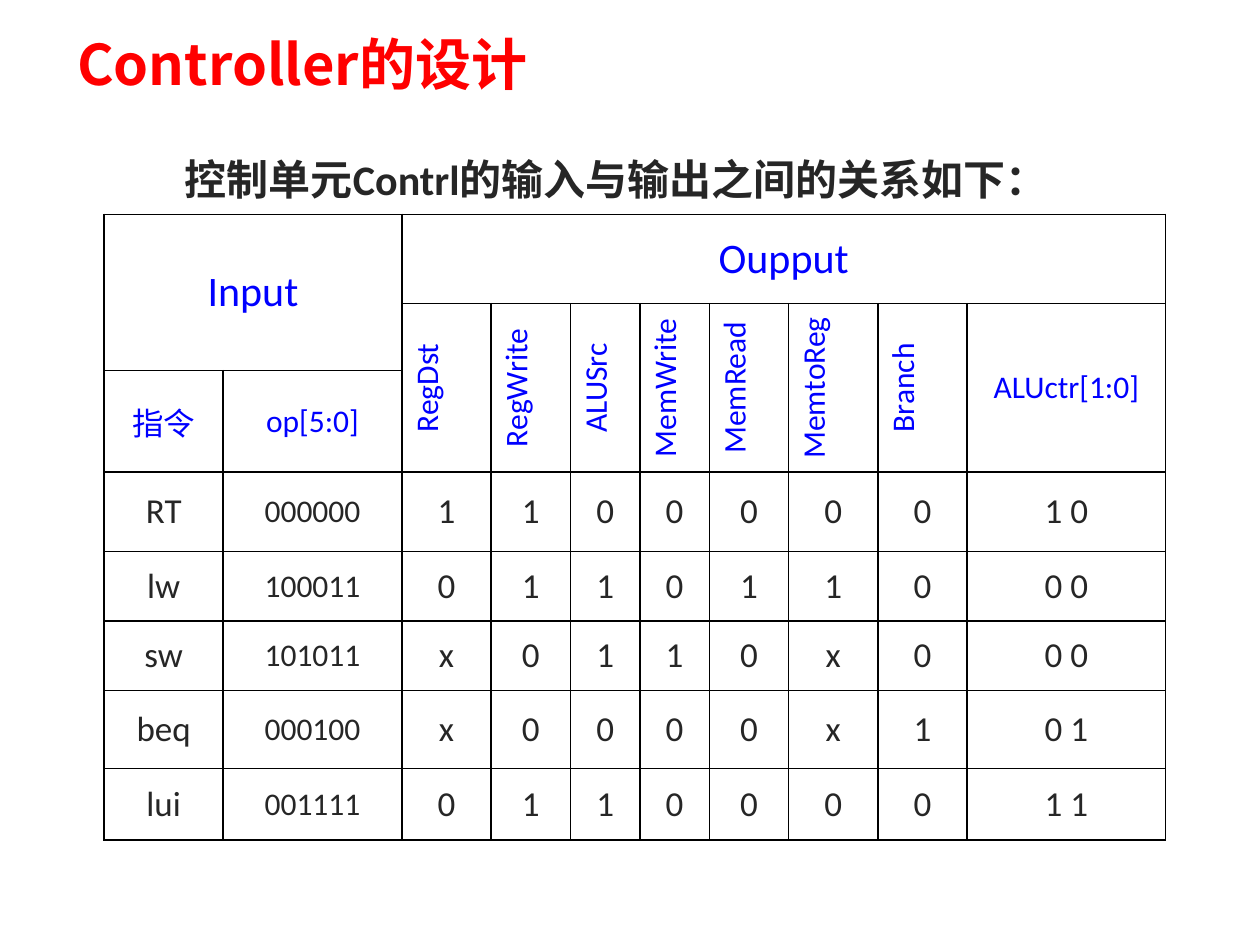
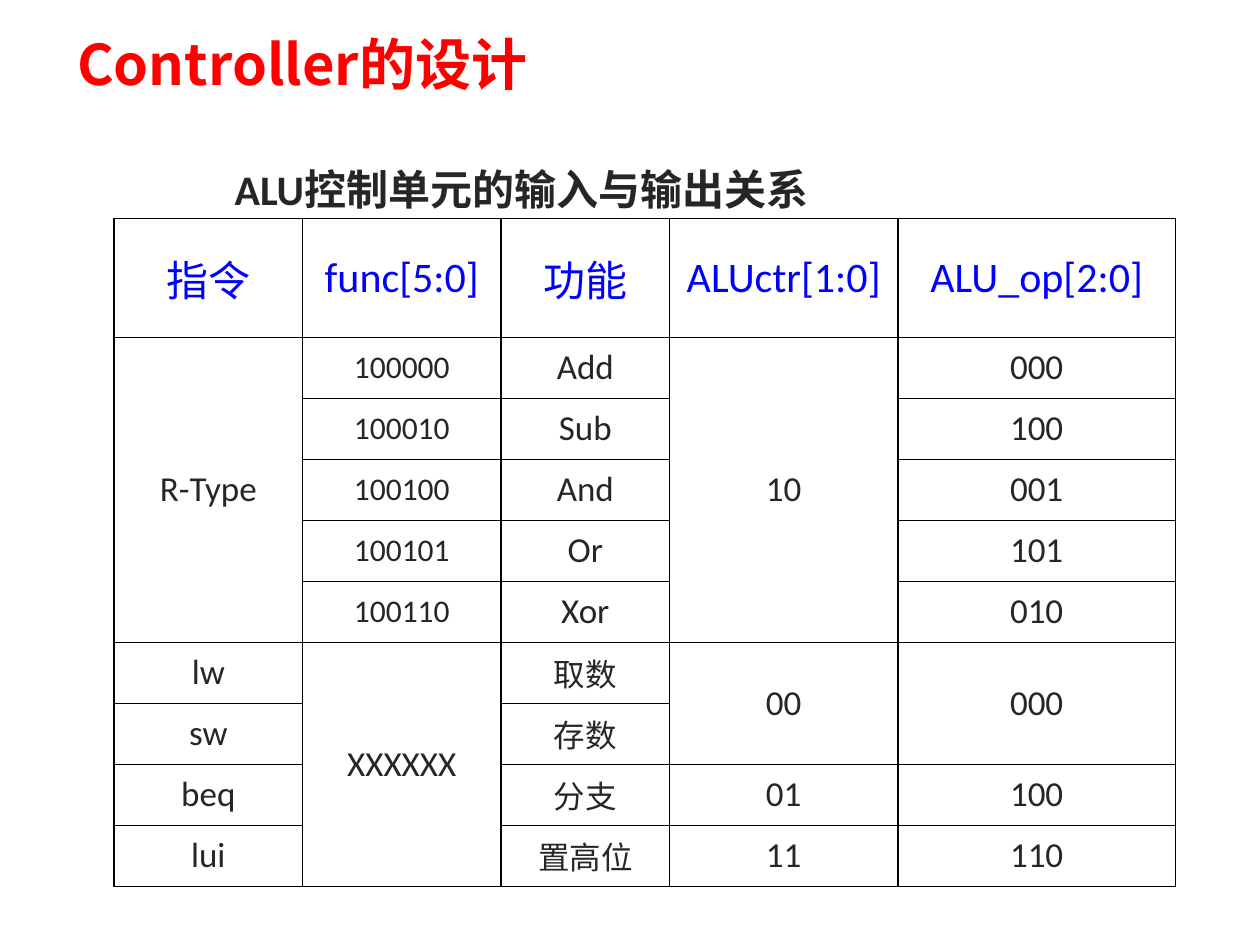
from lxml import etree
from pptx import Presentation
from pptx.dml.color import RGBColor
from pptx.enum.text import MSO_ANCHOR as Anchor, MSO_AUTO_SIZE as AutoSize, PP_ALIGN as Align
from pptx.oxml import parse_xml
from pptx.oxml.ns import nsdecls, qn
from pptx.util import Cm, Pt

RED, BLUE, DARK, BLACK = "FF0000", "0000FF", "262626", "000000"
LATIN, CJK = "Calibri", "Noto Sans CJK JP"


def color(hex_string):
    return RGBColor.from_string(hex_string)


def add_run(paragraph, text, size, hex_string, bold=False, font=LATIN):
    run = paragraph.add_run()
    run.text = text
    run.font.size = Pt(size)
    run.font.bold = bold
    run.font.color.rgb = color(hex_string)
    run.font.name = font
    # Chinese characters take their own font
    east_asian = etree.SubElement(run.font._element, qn("a:ea"))
    east_asian.set("typeface", CJK)


# Content: None marks a cell covered by a merge; a span is row, column, rows, columns
control_table = {
    "caption": "控制单元Contrl的输入与输出之间的关系如下：",
    "caption_box": (2.7, 2.72, 19.8, 1.47),
    "origin": (2.1, 4.32),
    "columns": [2.4, 3.6, 1.8, 1.6, 1.4, 1.4, 1.6, 1.8, 1.8, 4],
    "rows": [1.8, 1.35, 2.05, 1.6, 1.4, 1.4, 1.57, 1.45],
    "header_sizes": [24, 18, 18],
    "spans": [(0, 0, 2, 2), (0, 2, 1, 8)] + [(1, column, 2, 1) for column in range(2, 10)],
    "vertical": [(1, column) for column in range(2, 9)],
    "cells": [
        ["Input", None, "Oupput"] + [None] * 7,
        [None, None, "RegDst", "RegWrite", "ALUSrc", "MemWrite", "MemRead",
         "MemtoReg", "Branch", "ALUctr[1:0]"],
        ["指令", "op[5:0]"] + [None] * 8,
        ["RT", "000000", *"1100000", "1 0"],
        ["lw", "100011", *"0110110", "0 0"],
        ["sw", "101011", *"x0110x0", "0 0"],
        ["beq", "000100", *"x0000x1", "0 1"],
        ["lui", "001111", *"0110000", "1 1"],
    ],
}
alu_table = {
    "caption": "ALU控制单元的输入与输出关系",
    "caption_box": (3.7, 2.92, 17, 1.47),
    "origin": (2.3, 4.4),
    "columns": [3.8, 4, 3.4, 4.6, 5.6],
    "rows": [2.4] + [1.23] * 9,
    "header_sizes": [24],
    "spans": [(1, 0, 5, 1), (1, 3, 5, 1), (6, 1, 4, 1), (6, 3, 2, 1), (6, 4, 2, 1)],
    "vertical": [],
    "cells": [
        ["指令", "func[5:0]", "功能", "ALUctr[1:0]", "ALU_op[2:0]"],
        ["R-Type", "100000", "Add", "10", "000"],
        [None, "100010", "Sub", None, "100"],
        [None, "100100", "And", None, "001"],
        [None, "100101", "Or", None, "101"],
        [None, "100110", "Xor", None, "010"],
        ["lw", "XXXXXX", "取数", "00", "000"],
        ["sw", None, "存数", None, None],
        ["beq", None, "分支", "01", "100"],
        ["lui", None, "置高位", "11", "110"],
    ],
}

presentation = Presentation()
presentation.slide_width = Cm(25.4)
presentation.slide_height = Cm(19.05)

for content in (control_table, alu_table):
    slide = presentation.slides.add_slide(presentation.slide_layouts[5])

    # Title
    title = slide.shapes.title
    title.left, title.top, title.width, title.height = Cm(1.3), Cm(0.33), Cm(22.33), Cm(1.9)
    title.text_frame.vertical_anchor = Anchor.MIDDLE
    paragraph = title.text_frame.paragraphs[0]
    paragraph.alignment = Align.LEFT
    add_run(paragraph, "Controller的设计", 32, RED, True, CJK)

    # Table grid
    columns, rows = content["columns"], content["rows"]
    left, top = content["origin"]
    table = slide.shapes.add_table(len(rows), len(columns), Cm(left), Cm(top),
                                   Cm(sum(columns)), Cm(sum(rows))).table
    table.first_row = table.horz_banding = False
    for column, width in zip(table.columns, columns):
        column.width = Cm(width)
    for row, height in zip(table.rows, rows):
        row.height = Cm(height)
    for row, column, row_count, column_count in content["spans"]:
        table.cell(row, column).merge(
            table.cell(row + row_count - 1, column + column_count - 1))

    # Table cells
    header_sizes = content["header_sizes"]
    for row, texts in enumerate(content["cells"]):
        for column, text in enumerate(texts):
            cell = table.cell(row, column)
            properties = cell._tc.get_or_add_tcPr()
            for side in ("lnL", "lnR", "lnT", "lnB"):
                properties.append(parse_xml(
                    f'<a:{side} {nsdecls("a")} w="{Pt(1)}"><a:solidFill>'
                    f'<a:srgbClr val="{BLACK}"/></a:solidFill></a:{side}>'))
            cell.fill.background()
            cell.vertical_anchor = Anchor.MIDDLE
            if (row, column) in content["vertical"]:
                properties.set("vert", "vert270")
            if text is None:
                continue
            paragraph = cell.text_frame.paragraphs[0]
            paragraph.alignment = Align.CENTER
            if row < len(header_sizes):
                add_run(paragraph, text, header_sizes[row], BLUE)
            else:
                # Six-bit codes and Chinese words are set smaller
                small = not text.isascii() or (text.isdigit() and len(text) == 6)
                add_run(paragraph, text, 18 if small else 20, DARK)

    # Caption above the table
    caption = slide.shapes.add_textbox(*map(Cm, content["caption_box"]))
    frame = caption.text_frame
    frame.word_wrap = True
    frame.auto_size = AutoSize.SHAPE_TO_FIT_TEXT
    frame.margin_left = frame.margin_right = Cm(0.27)
    paragraph = frame.paragraphs[0]
    paragraph.line_spacing = 1.25
    paragraph._p.get_or_add_pPr().set("indent", str(Cm(0.76)))
    add_run(paragraph, content["caption"], 24, DARK, True)

presentation.save("out.pptx")
